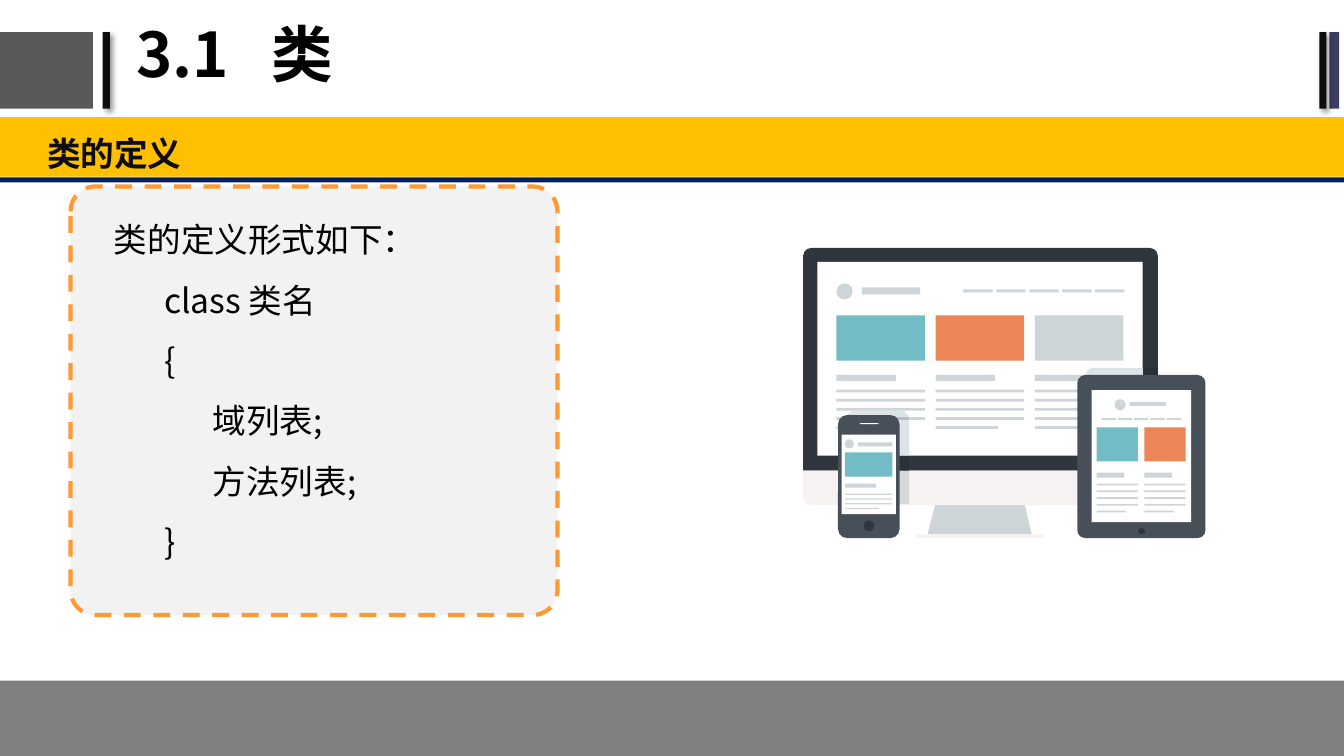
from dataclasses import dataclass

from lxml import etree
from pptx import Presentation
from pptx.dml.color import RGBColor
from pptx.enum import dml, shapes, text
from pptx.oxml import ns
from pptx.util import Cm, Pt


@dataclass(frozen=True)
class Theme:
    font: str = "Noto Sans CJK SC"
    title_size: int = 44
    text_size: int = 24
    black: str = "000000"
    ink: str = "0D0D0D"
    white: str = "FFFFFF"
    dark_grey: str = "595959"
    indigo: str = "3B3F60"
    footer: str = "808080"
    band: str = "FFC000"
    navy: str = "002060"
    panel: str = "F2F2F2"
    dashes: str = "FF9933"
    frame: str = "30363D"
    frame_shade: str = "293037"
    case: str = "474F59"
    base: str = "F6F2F1"
    base_shade: str = "D4D8DA"
    screen_shade: str = "DCE4E7"
    line_shade: str = "B1BEC4"
    pale: str = "CDD5D8"
    teal: str = "72BCC5"
    orange: str = "EC8558"


THEME = Theme()
KIND = shapes.MSO_SHAPE
SLIDE_WIDTH = 33.87


# Basic elements; boxes are (left, top, width, height) in centimetres
def paint(shape, colour):
    shape.shadow.inherit = False
    shape.fill.solid()
    shape.fill.fore_color.rgb = RGBColor.from_string(colour)
    shape.line.fill.background()
    return shape


def add_block(parent, box, colour, kind=KIND.RECTANGLE, corners=()):
    shape = parent.add_shape(kind, *map(Cm, box))
    for index, radius in enumerate(corners):
        shape.adjustments[index] = radius / min(box[2:])
    return paint(shape, colour)


def add_dot(parent, left, top, width, height, colour):
    return add_block(parent, (left, top, width, height), colour, KIND.OVAL)


def add_outline(parent, points, colour):
    points = [(Cm(x), Cm(y)) for x, y in points]
    builder = parent.build_freeform(*points[0])
    builder.add_line_segments(points[1:], close=True)
    return paint(builder.convert_to_shape(), colour)


def add_soft_shadow(shape):
    effects = shape._element.spPr.find(ns.qn("a:effectLst"))
    shadow = etree.SubElement(effects, ns.qn("a:outerShdw"), blurRad=str(Pt(4)),
                              dist=str(Pt(3)), dir="2700000", algn="tl", rotWithShape="0")
    colour = etree.SubElement(shadow, ns.qn("a:srgbClr"), val=THEME.black)
    etree.SubElement(colour, ns.qn("a:alpha"), val="40000")


def format_paragraph(paragraph, size, colour, spacing, bold=False):
    paragraph.alignment = text.PP_ALIGN.LEFT
    paragraph.line_spacing = spacing
    paragraph.space_before = Pt(0)
    font = paragraph.font
    font.size, font.bold, font.name = Pt(size), bold, THEME.font
    font.color.rgb = RGBColor.from_string(colour)
    latin = font._element.find(ns.qn("a:latin"))
    latin.addnext(latin.makeelement(ns.qn("a:ea"), typeface=THEME.font))


def add_text(parent, box, lines, colour, spacing, bold=False):
    """Each line is a pair of wording and first-line indent."""
    frame = parent.add_textbox(*map(Cm, box)).text_frame
    frame.word_wrap = True
    frame.margin_left = frame.margin_right = Cm(0.33)
    frame.margin_top = frame.margin_bottom = Cm(0.18)
    for index, (wording, indent) in enumerate(lines):
        paragraph = frame.add_paragraph() if index else frame.paragraphs[0]
        paragraph.text = wording
        paragraph._p.get_or_add_pPr().set("indent", str(Cm(indent)))
        format_paragraph(paragraph, THEME.text_size, colour, spacing, bold)


# Slide parts
def add_title(slide, wording):
    title = slide.shapes.title
    title.left, title.top, title.width, title.height = map(Cm, (3.18, 0.05, 21.51, 2.79))
    frame = title.text_frame
    frame.text = wording
    frame.auto_size = text.MSO_AUTO_SIZE.NONE
    frame.vertical_anchor = text.MSO_ANCHOR.MIDDLE
    paragraph = frame.paragraphs[0]
    tabs = etree.SubElement(paragraph._p.get_or_add_pPr(), ns.qn("a:tabLst"))
    etree.SubElement(tabs, ns.qn("a:tab"), pos=str(Cm(3.4)), algn="l")
    format_paragraph(paragraph, THEME.title_size, THEME.black, 0.9, bold=True)


def add_header_bars(slide):
    bars = [(-0.05, 2.39, THEME.dark_grey), (2.59, 0.18, THEME.ink),
            (33.5, 0.25, THEME.indigo), (33.25, 0.18, THEME.ink)]
    for left, width, colour in bars:
        bar = add_block(slide.shapes, (left, 0.81, width, 1.93), colour)
        if colour == THEME.ink:
            add_soft_shadow(bar)


def add_definition(slide):
    panel = add_block(slide.shapes, (1.78, 4.7, 12.27, 10.8), THEME.panel,
                      KIND.ROUNDED_RECTANGLE, [0.63])
    panel.line.color.rgb = RGBColor.from_string(THEME.dashes)
    panel.line.width = Pt(3)
    panel.line.dash_style = dml.MSO_LINE.DASH
    lines = [("类的定义形式如下：", 0), ("class 类名", 1.27), ("{", 1.27),
             ("域列表;", 2.49), ("方法列表;", 2.49), ("}", 1.27)]
    add_text(slide.shapes, (2.54, 4.83, 15.44, 9.55), lines, THEME.black, 1.5)


def add_section_band(slide, wording):
    band = slide.shapes.add_group_shape().shapes
    add_block(band, (0, 2.95, SLIDE_WIDTH, 1.5), THEME.band)
    add_text(band, (0.86, 2.97, 33, 1.47), [(wording, 0)], THEME.ink, 1.2, bold=True)
    add_block(slide.shapes, (0, 4.47, SLIDE_WIDTH, 0.13), THEME.navy)


# Web page drawn on the device screens
def add_menu(parent, left, top, step, width, height):
    for index in range(5):
        add_block(parent, (left + index * step, top, width, height), THEME.pale)


def add_article(parent, left, heading, first, step, count, thickness, width, last_width):
    """heading is (top, width, height); the last text line is shorter."""
    top, heading_width, height = heading
    add_block(parent, (left, top, heading_width, height), THEME.pale)
    for index in range(count):
        line_width = last_width if index == count - 1 else width
        add_block(parent, (left, first + index * step, line_width, thickness), THEME.pale)


def add_monitor(parent):
    top_round = KIND.ROUND_2_SAME_RECTANGLE
    add_block(parent, (20.24, 6.25, 8.94, 5.61), THEME.frame, top_round, [0.2, 0])
    add_outline(parent, [(23.67, 12.32), (23.37, 13.49), (26.01, 13.49), (25.73, 12.32)],
                THEME.pale)
    add_block(parent, (23.06, 13.46, 3.25, 0.1), THEME.base, top_round, [0.05, 0])
    add_block(parent, (20.24, 11.86, 8.94, 0.86), THEME.base, top_round, [0, 0.2])
    add_block(parent, (20.6, 6.6, 8.2, 4.88), THEME.white)
    add_dot(parent, 21.08, 7.14, 0.41, 0.41, THEME.pale)
    add_block(parent, (21.72, 7.24, 1.47, 0.18), THEME.pale)
    add_menu(parent, 24.28, 7.29, 0.83, 0.74, 0.08)
    for index, colour in enumerate((THEME.teal, THEME.orange, THEME.pale)):
        left = 21.08 + 2.5 * index
        add_block(parent, (left, 7.95, 2.23, 1.14), colour)
        add_article(parent, left, (9.45, 1.5, 0.15), 9.82, 0.23, 5, 0.07, 2.23, 1.57)


def add_cast_shadows(parent):
    # Behind the phone
    add_block(parent, (21.34, 11.86, 1.57, 0.84), THEME.base_shade)
    add_block(parent, (21.34, 11.48, 1.57, 0.38), THEME.frame_shade)
    add_block(parent, (21.34, 10.34, 1.57, 1.14), THEME.screen_shade,
              KIND.ROUND_2_SAME_RECTANGLE, [0.23, 0])
    add_block(parent, (21.34, 10.51, 1.57, 0.07), THEME.line_shade)
    # Behind the tablet
    add_outline(parent, [(29.18, 9.27), (28.8, 9.27), (28.8, 11.48), (27.36, 11.48),
                         (27.36, 11.86), (29.18, 11.86)], THEME.frame_shade)
    add_block(parent, (27.36, 9.27, 1.44, 2.21), THEME.screen_shade,
              KIND.ROUND_2_DIAG_RECTANGLE, [0.2, 0])


def add_phone(parent):
    add_block(parent, (21.12, 10.46, 1.55, 3.1), THEME.case, KIND.ROUNDED_RECTANGLE, [0.23])
    add_block(parent, (21.67, 10.66, 0.47, 0.03), THEME.white, KIND.ROUNDED_RECTANGLE)
    add_dot(parent, 21.77, 13.11, 0.26, 0.28, THEME.frame)
    add_block(parent, (21.21, 10.95, 1.37, 2.01), THEME.white)
    add_block(parent, (21.29, 11.4, 1.2, 0.61), THEME.teal)
    add_block(parent, (21.62, 11.15, 0.87, 0.1), THEME.pale)
    add_dot(parent, 21.29, 11.07, 0.23, 0.23, THEME.pale)
    add_article(parent, 21.29, (12.19, 0.79, 0.1), 12.44, 0.12, 4, 0.03, 1.2, 0.86)


def add_tablet(parent):
    add_block(parent, (27.15, 9.45, 3.23, 4.11), THEME.case, KIND.ROUNDED_RECTANGLE, [0.2])
    add_dot(parent, 28.68, 13.31, 0.18, 0.15, THEME.frame)
    add_block(parent, (27.51, 9.83, 2.51, 3.33), THEME.white)
    add_block(parent, (28.47, 10.13, 0.91, 0.1), THEME.pale)
    add_dot(parent, 28.09, 10.06, 0.28, 0.28, THEME.pale)
    add_menu(parent, 27.76, 10.54, 0.41, 0.36, 0.05)
    for index, colour in enumerate((THEME.teal, THEME.orange)):
        left = 27.64 + 1.2 * index
        add_block(parent, (left, 10.77, 1.04, 0.86), colour)
        add_article(parent, left, (11.91, 0.7, 0.13), 12.19, 0.17, 5, 0.04, 1.04, 0.75)


def main():
    presentation = Presentation()
    presentation.slide_width, presentation.slide_height = Cm(SLIDE_WIDTH), Cm(19.05)
    slide = presentation.slides.add_slide(presentation.slide_layouts[5])
    add_header_bars(slide)
    add_title(slide, "3.1\t类")
    add_definition(slide)
    add_block(slide.shapes, (0, 17.15, SLIDE_WIDTH, 1.9), THEME.footer)
    devices = slide.shapes.add_group_shape().shapes
    for add_part in (add_monitor, add_cast_shadows, add_phone, add_tablet):
        add_part(devices)
    add_section_band(slide, "类的定义")
    presentation.save("out.pptx")


if __name__ == "__main__":
    main()
